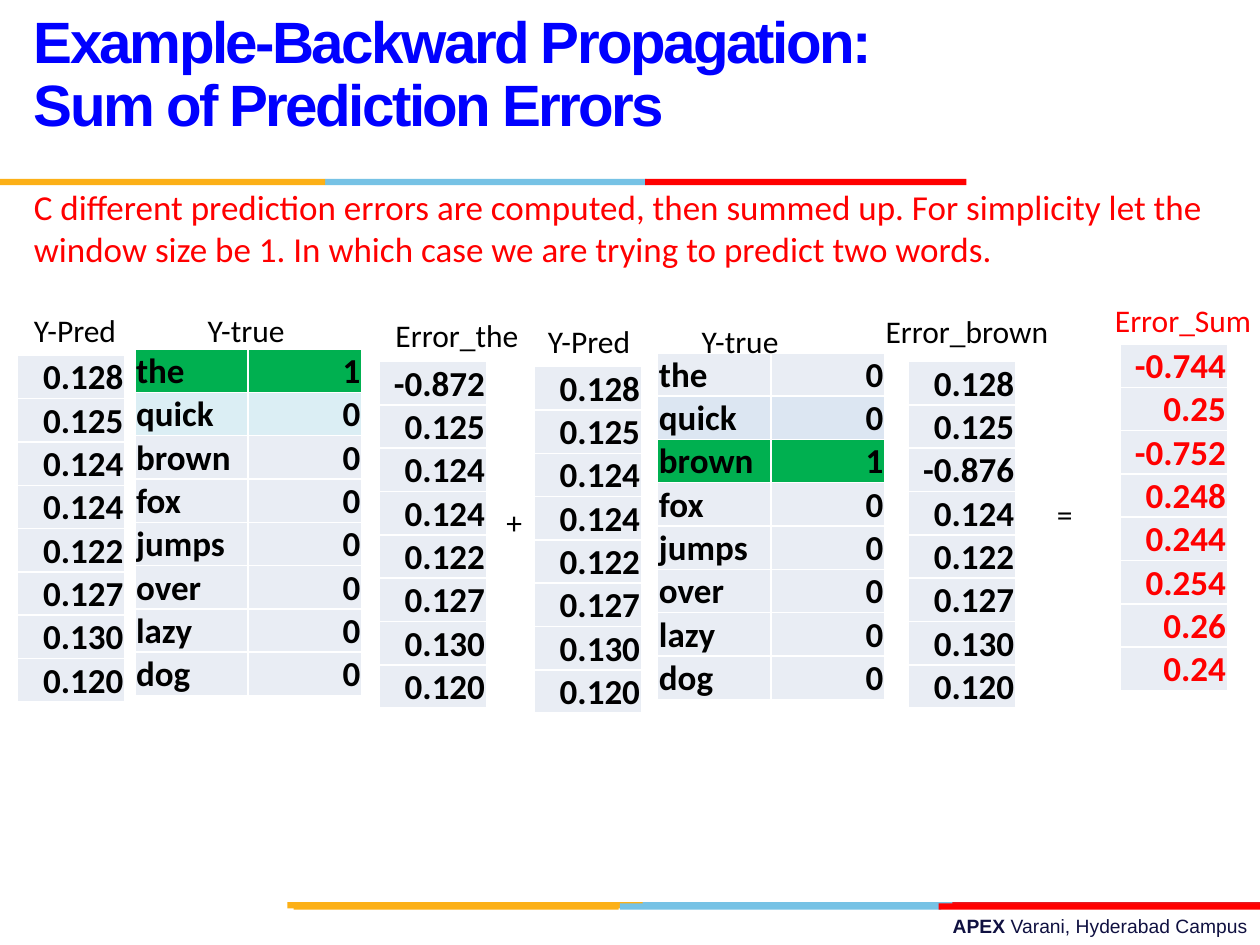
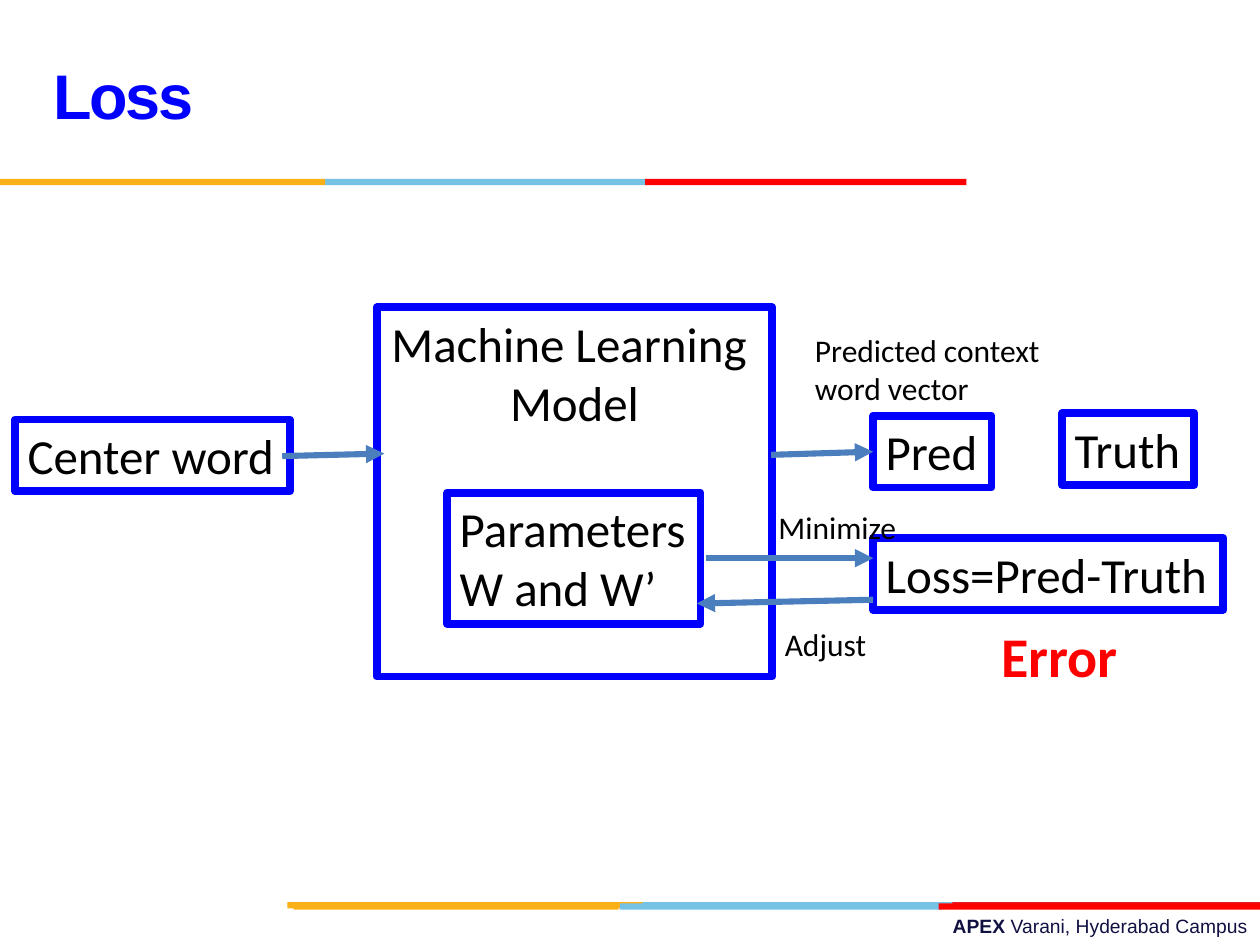
from lxml.etree import SubElement
from pptx import Presentation
from pptx.dml.color import RGBColor
from pptx.enum.shapes import MSO_CONNECTOR, MSO_SHAPE
from pptx.enum.text import MSO_ANCHOR, MSO_AUTO_SIZE, PP_ALIGN
from pptx.oxml.ns import qn
from pptx.util import Inches, Pt

COLS, ROWS = 100, 75
WIDE, HIGH = Inches(10), Inches(7.5)
BLUE, RED, BLACK, WHITE = "0000FF", "FF0000", "000000", "FFFFFF"
GOLD, SKY, ROSE, NAVY = "FCB017", "76C2E5", "E31C24", "101141"
STEEL, GREEN, PALE = "4B7EBC", "00B050", "E9EDF4"
LEFT, MID, RIGHT = PP_ALIGN.LEFT, PP_ALIGN.CENTER, PP_ALIGN.RIGHT

BANDS = [
    (71.6, [(50.6, 25.5, SKY), (75.6, 24.4, ROSE), (22.8, 28.2, GOLD)]),
    (71.7, [(49.2, 25.5, SKY), (23.3, 25.8, GOLD), (74.5, 25.5, RED)]),
    (14.2, [(25.8, 25.5, SKY), (0, 25.8, GOLD), (51.2, 25.5, RED)]),
]
WORDS = ["the", "quick", "brown", "fox", "jumps", "over", "lazy", "dog"]
PRED = [0.128, 0.125, 0.124, 0.124, 0.122, 0.127, 0.130, 0.120]


def rgb(code):
    """Turn a hex string into a colour."""
    return RGBColor.from_string(code)


def col(num):
    """Width of a number of grid columns."""
    return round(WIDE * num / COLS)


def row(num):
    """Height of a number of grid rows."""
    return round(HIGH * num / ROWS)


def area(x, y, w, h):
    """Place and size of a block of grid cells."""
    return col(x), row(y), col(w), row(h)


def style(run, size, hue=BLACK, bold=False, face="Calibri"):
    """Set the font of one run."""
    font = run.font
    font.size, font.bold, font.name = Pt(size), bold, face
    font.color.rgb = rgb(hue)


def fill_text(shape, text, size, hue=BLACK, bold=False, face="Calibri",
              align=LEFT, wrap=False):
    """Write text into a shape that fits it."""
    frame = shape.text_frame
    frame.text = text
    frame.word_wrap = wrap
    frame.auto_size = MSO_AUTO_SIZE.SHAPE_TO_FIT_TEXT
    frame.vertical_anchor = MSO_ANCHOR.TOP
    for para in frame.paragraphs:
        para.alignment = align
        for run in para.runs:
            style(run, size, hue, bold, face)
    return frame


def label(slide, spot, text, size=18, **look):
    """Add free text."""
    return fill_text(slide.shapes.add_textbox(*area(*spot)), text, size, **look)


def block(slide, spot):
    """Add a plain rectangle."""
    shape = slide.shapes.add_shape(MSO_SHAPE.RECTANGLE, *area(*spot))
    shape.shadow.inherit = False
    return shape


def box(slide, spot, text, align=LEFT):
    """Add a blue-edged box with text."""
    shape = block(slide, spot)
    shape.fill.background()
    shape.line.color.rgb = rgb(BLUE)
    shape.line.width = Pt(4.5)
    fill_text(shape, text, 28, align=align)
    return shape


def arrow(slide, x1, y1, x2, y2):
    """Add a straight arrow."""
    line = slide.shapes.add_connector(
        MSO_CONNECTOR.STRAIGHT, col(x1), row(y1), col(x2), row(y2))
    line.line.color.rgb = rgb(STEEL)
    line.line.width = Pt(3.5)
    SubElement(line.line._get_or_add_ln(), qn("a:tailEnd"), type="triangle")
    SubElement(line._element.spPr, qn("a:effectLst"))
    return line


def edge(cell):
    """Give a cell thin white borders."""
    props = cell._tc.get_or_add_tcPr()
    for side in ("lnL", "lnR", "lnT", "lnB"):
        line = SubElement(props, qn("a:" + side), w=str(Pt(1)))
        paint = SubElement(line, qn("a:solidFill"))
        SubElement(paint, qn("a:srgbClr"), val=WHITE)


def grid(slide, x, y, data, wide, hue=BLACK, tints=None):
    """Add a table, with the tints given by row number."""
    tints = tints or {}
    count = len(data[0])
    spot = area(x, y, wide * count, 3.44 * len(data))
    frame = slide.shapes.add_table(len(data), count, *spot)
    table = frame.table
    table.first_row = table.horz_banding = False
    for i, line in enumerate(data):
        for j, text in enumerate(line):
            cell = table.cell(i, j)
            edge(cell)
            cell.fill.solid()
            cell.fill.fore_color.rgb = rgb(tints.get(i, PALE))
            cell.vertical_anchor = MSO_ANCHOR.BOTTOM
            cell.margin_left = cell.margin_right = cell.margin_top = Inches(0.01)
            cell.margin_bottom = 0
            cell.text = text
            para = cell.text_frame.paragraphs[0]
            para.alignment = RIGHT if j == count - 1 else LEFT
            style(para.runs[0], 20, hue, True)


def stack(slide, x, y, nums, form=".3f", hue=BLACK):
    """Add a one-column table of numbers."""
    grid(slide, x, y, [[format(n, form)] for n in nums], 8.5, hue)


def truth(slide, x, y, word, tint):
    """Add a one-hot table for a word."""
    data = [[w, str(int(w == word))] for w in WORDS]
    grid(slide, x, y, data, 9, tints={1: tint, WORDS.index(word): GREEN})


def miss(word):
    """Prediction error against a one-hot word."""
    return [p - (w == word) for p, w in zip(PRED, WORDS)]


def start(deck, title, x, y, size):
    """Add a slide with footer, bands and title."""
    slide = deck.slides.add_slide(deck.slide_layouts[6])
    foot = label(slide, (35.8, 72.1, 64.2, 2.9), "APEX ", 11, hue=NAVY,
                 bold=True, face="Arial", align=RIGHT, wrap=True)
    run = foot.paragraphs[0].add_run()
    run.text = "Varani, Hyderabad Campus"
    style(run, 11, NAVY, face="Arial")
    for top, parts in BANDS:
        for left, wide, hue in parts:
            band = block(slide, (left, top, wide, 0.5))
            band.fill.solid()
            band.fill.fore_color.rgb = rgb(hue)
            band.line.fill.background()
    head = label(slide, (x, y, 69.2, 12.5), title, size, hue=BLUE, bold=True,
                 face="Arial", wrap=True)
    head.auto_size = MSO_AUTO_SIZE.NONE
    head.vertical_anchor = MSO_ANCHOR.MIDDLE
    para = head.paragraphs[0]
    para.line_spacing = Pt(36)
    para.runs[0].font._element.set("spc", "-150")
    return slide


def errors(deck):
    """Build the slide on summed errors."""
    slide = start(deck, "Example-Backward Propagation: Sum of Prediction Errors",
                  1.7, -0.3, 33.3)
    intro = label(slide, (1.7, 14.2, 95.8, 7.7),
                  "C\u00a0different prediction errors are computed, then summed up. "
                  "For simplicity let the window size be 1. "
                  "In which case we are trying to predict two words.",
                  20, hue=RED, wrap=True)
    intro.vertical_anchor = MSO_ANCHOR.MIDDLE
    the, brown = miss("the"), miss("brown")
    total = [round(a + b, 3) for a, b in zip(the, brown)]
    stack(slide, 1.4, 28.2, PRED)
    truth(slide, 10.7, 27.7, "the", "DBEEF4")
    stack(slide, 30.1, 28.7, the)
    stack(slide, 42.4, 29.1, PRED)
    truth(slide, 52.2, 28, "brown", "DCE6F2")
    stack(slide, 72.1, 28.7, brown)
    stack(slide, 88.9, 27.3, total, "g", RED)
    for text, x, y, wide in [
        ("Y-Pred", 1.7, 24.2, 8.8), ("Y-true", 15.5, 24.2, 8.3),
        ("Error_the", 30.4, 24.6, 11.9), ("+", 39.2, 39.4, 3.3),
        ("Y-Pred", 42.5, 25.1, 8.8), ("Y-true", 54.7, 25.1, 8.3),
        ("Error_brown", 69.3, 24.3, 15.1), ("=", 82.9, 38.8, 3.3),
    ]:
        label(slide, (x, y, wide, 4), text)
    label(slide, (87.5, 23.4, 12.9, 4), "Error_Sum", hue=RED)


def loss(deck):
    """Build the slide on the loss loop."""
    slide = start(deck, "Loss", 3.3, 1.7, 36)
    box(slide, (1.2, 33.3, 21.8, 5.7), "Center word")
    box(slide, (29.9, 24.4, 31.4, 29.3), "Machine Learning \nModel", MID)
    box(slide, (35.5, 39.1, 20.1, 10.4), "Parameters\nW and W’")
    pred = box(slide, (69.3, 33, 9.4, 5.7), "Pred")
    box(slide, (84.3, 32.8, 10.5, 5.7), "Truth")
    box(slide, (69.3, 42.7, 27.8, 5.7), "Loss=Pred-Truth")
    arrow(slide, 22.4, 36.2, 30.5, 36)
    arrow(slide, 61.2, 36.1, 69.3, 35.9).end_connect(pred, 1)
    arrow(slide, 56, 44.3, 69.3, 44.3)
    arrow(slide, 69.3, 47.6, 55.3, 47.9)
    label(slide, (63.7, 25.8, 20.6, 7.1), "Predicted context\nword vector")
    label(slide, (78.5, 48.8, 11.4, 6.4), "Error", 32, hue=RED, bold=True)
    label(slide, (61.3, 49.1, 8.5, 4), "Adjust")
    label(slide, (60.8, 39.8, 11.5, 4), "Minimize")


def main():
    """Build and save the deck."""
    deck = Presentation()
    deck.slide_width, deck.slide_height = WIDE, HIGH
    errors(deck)
    loss(deck)
    deck.save("out.pptx")


if __name__ == "__main__":
    main()
